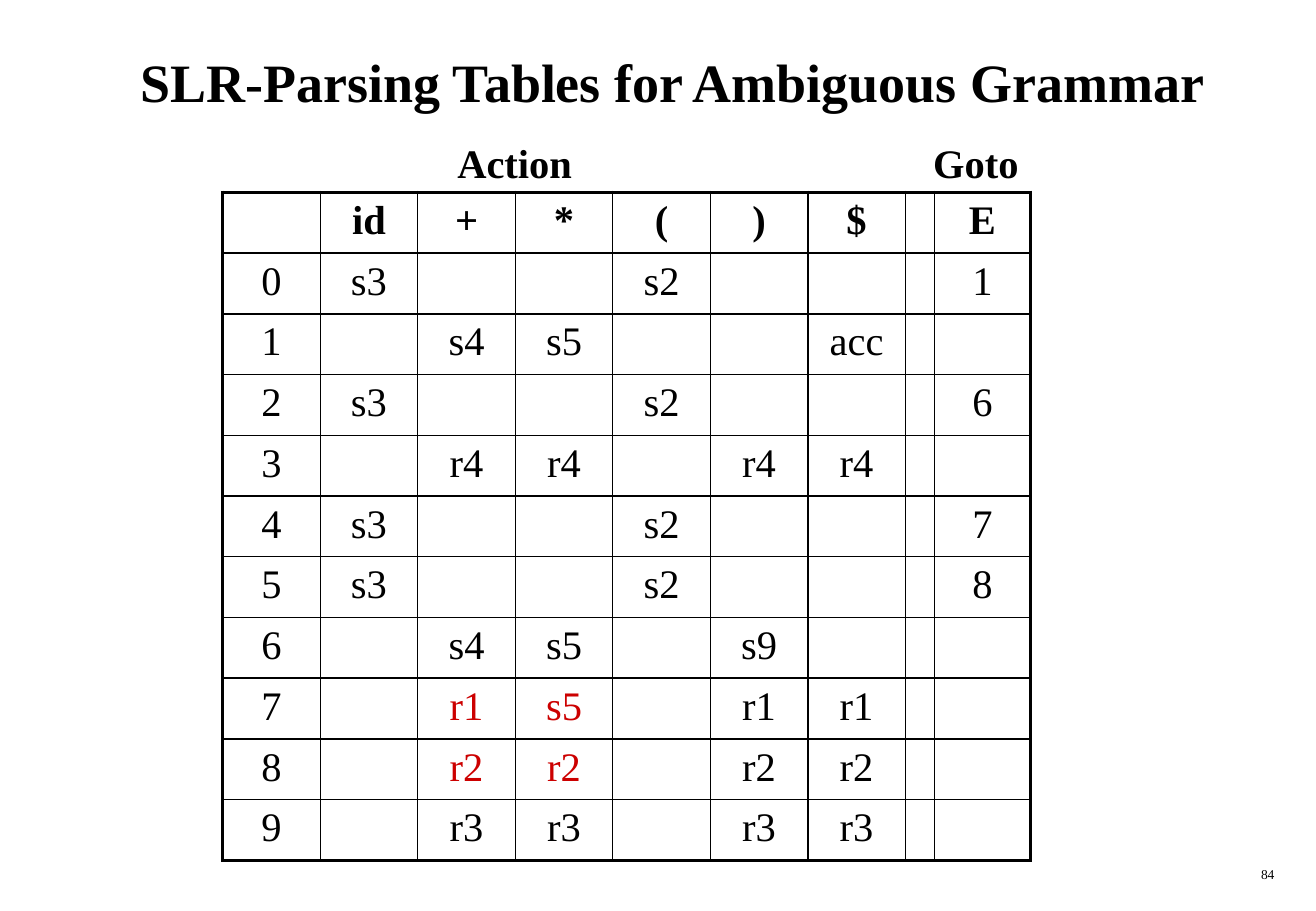
"""Build the slide of SLR parsing tables for an ambiguous grammar."""
from lxml import etree
from pptx import Presentation
from pptx.dml.color import RGBColor
from pptx.enum.text import MSO_ANCHOR, PP_ALIGN
from pptx.oxml.ns import qn
from pptx.util import Pt

TITLE = "SLR-Parsing Tables for Ambiguous Grammar"
LABELS = [
    ("Action", 264, 78, 83, 36, 24, True, PP_ALIGN.LEFT),
    ("Goto", 546, 78, 65, 36, 24, True, PP_ALIGN.LEFT),
    ("84", 600, 510, 162.5, 18, 8, False, PP_ALIGN.RIGHT),
]
HEAD = ["", "id", "+", "*", "(", ")", "$", "", "E"]
STATES = [
    ["0", "s3", "", "", "s2", "", "", "", "1"],
    ["1", "", "s4", "s5", "", "", "acc", "", ""],
    ["2", "s3", "", "", "s2", "", "", "", "6"],
    ["3", "", "r4", "r4", "", "r4", "r4", "", ""],
    ["4", "s3", "", "", "s2", "", "", "", "7"],
    ["5", "s3", "", "", "s2", "", "", "", "8"],
    ["6", "", "s4", "s5", "", "s9", "", "", ""],
    ["7", "", "r1", "s5", "", "r1", "r1", "", ""],
    ["8", "", "r2", "r2", "", "r2", "r2", "", ""],
    ["9", "", "r3", "r3", "", "r3", "r3", "", ""],
]
CLASH = {(8, 2), (8, 3), (9, 2), (9, 3)}
WIDTHS = [57.8] * 7 + [17, 57]
LEFT, TOP, HIGH = 132, 114, 36
THIN, THICK = 1, 2.25
FONT = "Times New Roman"
BLACK = RGBColor(0, 0, 0)
RED = RGBColor(0xCC, 0, 0)


def write(frame, words, size, bold, align, color=BLACK):
    """Add one formatted run to the first paragraph."""
    para = frame.paragraphs[0]
    para.alignment = align
    run = para.add_run()
    run.text = words
    font = run.font
    font.name, font.size, font.bold = FONT, Pt(size), bold
    font.color.rgb = color


def border(cell, sides):
    """Draw the cell borders, given as (side, width in points)."""
    props = cell._tc.get_or_add_tcPr()
    for i, (side, width) in enumerate(sides):
        line = etree.Element(qn("a:ln" + side), w=str(Pt(width)))
        fill = etree.SubElement(line, qn("a:solidFill"))
        etree.SubElement(fill, qn("a:srgbClr"), val=str(BLACK))
        props.insert(i, line)


def add_grid(slide):
    """Add the parsing table."""
    rows = [HEAD] + STATES
    last, end = len(rows) - 1, len(HEAD) - 1
    table = slide.shapes.add_table(
        len(rows), len(HEAD), Pt(LEFT), Pt(TOP),
        Pt(sum(WIDTHS)), Pt(HIGH * len(rows))).table
    table.horz_banding = table.first_row = False
    for col, width in zip(table.columns, WIDTHS):
        col.width = Pt(width)
    for r, row in enumerate(rows):
        table.rows[r].height = Pt(HIGH)
        for c, words in enumerate(row):
            cell = table.cell(r, c)
            cell.fill.background()
            edges = [("L", c == 0), ("R", c == end),
                     ("T", r == 0), ("B", r == last)]
            border(cell, [(s, THICK if rim else THIN) for s, rim in edges])
            if words:
                write(cell.text_frame, words, 24, r == 0, PP_ALIGN.CENTER,
                      RED if (r, c) in CLASH else BLACK)


def main():
    """Build and save the slide."""
    deck = Presentation()
    deck.slide_width, deck.slide_height = Pt(780), Pt(540)
    slide = deck.slides.add_slide(deck.slide_layouts[5])
    title = slide.shapes.title
    title.left, title.top, title.width, title.height = (
        Pt(30), Pt(12), Pt(738), Pt(72))
    title.text_frame.vertical_anchor = MSO_ANCHOR.MIDDLE
    write(title.text_frame, TITLE, 32, True, PP_ALIGN.CENTER)
    add_grid(slide)
    for words, x, y, w, h, size, bold, align in LABELS:
        box = slide.shapes.add_textbox(Pt(x), Pt(y), Pt(w), Pt(h))
        box.text_frame.word_wrap = True
        write(box.text_frame, words, size, bold, align)
    deck.save("out.pptx")


if __name__ == "__main__":
    main()
